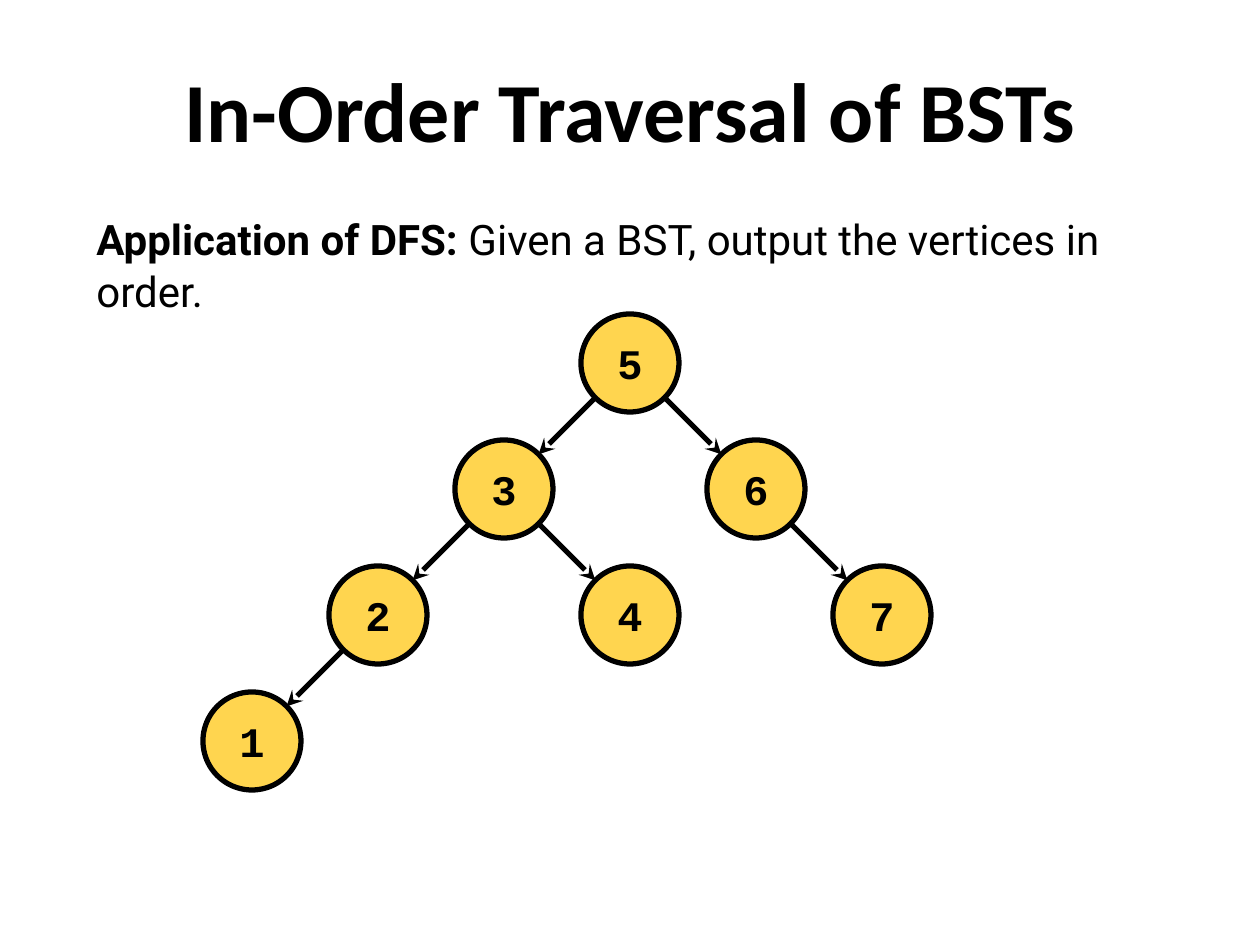
import math

import pptx
import pptx.dml.color
import pptx.enum.shapes
import pptx.enum.text
import pptx.oxml.ns
import pptx.util
from lxml import etree

PX = 914400 / 126  # EMU per px

THEME = {
    "ink": pptx.dml.color.RGBColor.from_string("000000"),
    "node": pptx.dml.color.RGBColor.from_string("FFD54F"),
    "line": pptx.util.Pt(3),
    "title": {"name": "Calibri", "size": pptx.util.Pt(48), "bold": True},
    "lead": {"name": "Roboto", "size": pptx.util.Pt(24), "bold": True},
    "body": {"name": "Roboto", "size": pptx.util.Pt(24), "bold": False},
    "key": {"name": "Courier New", "size": pptx.util.Pt(24), "bold": True},
}

# Each vertex: key -> (column, row) on the tree grid
VERTICES = {"5": (3, 0), "3": (2, 1), "6": (4, 1), "2": (1, 2),
            "4": (3, 2), "7": (5, 2), "1": (0, 3)}
EDGES = ["53", "32", "21", "56", "34", "67"]


def emu(*lengths):
    return [pptx.util.Emu(round(v * PX)) for v in lengths]


def fill_text(s, runs, align, anchor, spacing=None):
    tf = s.text_frame
    inset = pptx.util.Inches(0.1)
    frame = {"word_wrap": True, "vertical_anchor": anchor,
             "margin_left": inset, "margin_right": inset,
             "margin_top": inset, "margin_bottom": inset}
    for name, value in frame.items():
        setattr(tf, name, value)
    p = tf.paragraphs[0]
    p.alignment = align
    p.line_spacing = spacing
    for text, style in runs:
        r = p.add_run()
        r.text = text
        for name, value in THEME[style].items():
            setattr(r.font, name, value)
        r.font.color.rgb = THEME["ink"]


def add_text(slide, box, runs, align):
    s = slide.shapes.add_textbox(*emu(*box))
    fill_text(s, runs, align, pptx.enum.text.MSO_ANCHOR.TOP, 1.04)


def add_vertex(slide, key, cx, cy, size):
    s = slide.shapes.add_shape(
        pptx.enum.shapes.MSO_SHAPE.OVAL,
        *emu(cx - size / 2, cy - size / 2, size, size))
    s.shadow.inherit = False
    s.fill.solid()
    s.fill.fore_color.rgb = THEME["node"]
    s.line.color.rgb = THEME["ink"]
    s.line.width = THEME["line"]
    fill_text(s, [(key, "key")], pptx.enum.text.PP_ALIGN.CENTER,
              pptx.enum.text.MSO_ANCHOR.MIDDLE)


def add_edge(slide, start, end, radius):
    # Trim both ends to the rims of the circles
    dx, dy = end[0] - start[0], end[1] - start[1]
    trim = radius / math.hypot(dx, dy)
    s = slide.shapes.add_connector(
        pptx.enum.shapes.MSO_CONNECTOR.STRAIGHT,
        *emu(start[0] + dx * trim, start[1] + dy * trim,
             end[0] - dx * trim, end[1] - dy * trim))
    s.line.color.rgb = THEME["ink"]
    s.line.width = THEME["line"]
    qn = pptx.oxml.ns.qn
    etree.SubElement(s.line._get_or_add_ln(), qn("a:tailEnd"), type="stealth")
    etree.SubElement(s._element.spPr, qn("a:effectLst"))


def add_tree(slide, box, step, size):
    left, top = box[:2]
    centers = {key: (left + size / 2 + col * step, top + size / 2 + row * step)
               for key, (col, row) in VERTICES.items()}
    for key, (cx, cy) in centers.items():
        add_vertex(slide, key, cx, cy, size)
    for parent, child in EDGES:
        add_edge(slide, centers[parent], centers[child], size / 2)


def main():
    prs = pptx.Presentation()
    prs.slide_width, prs.slide_height = emu(1260, 945)
    slide = prs.slides.add_slide(prs.slide_layouts[6])

    # Title
    add_text(slide, (0, 42, 1260, 157),
             [("In-Order Traversal of BSTs", "title")],
             pptx.enum.text.PP_ALIGN.CENTER)
    # Task
    add_text(slide, (84, 199, 1092, 746),
             [("Application of DFS: ", "lead"),
              ("Given a BST, output the vertices in order.", "body")],
             pptx.enum.text.PP_ALIGN.LEFT)
    # Search tree
    add_tree(slide, (203, 314, 728, 476), step=126, size=98)

    prs.save("out.pptx")


if __name__ == "__main__":
    main()
